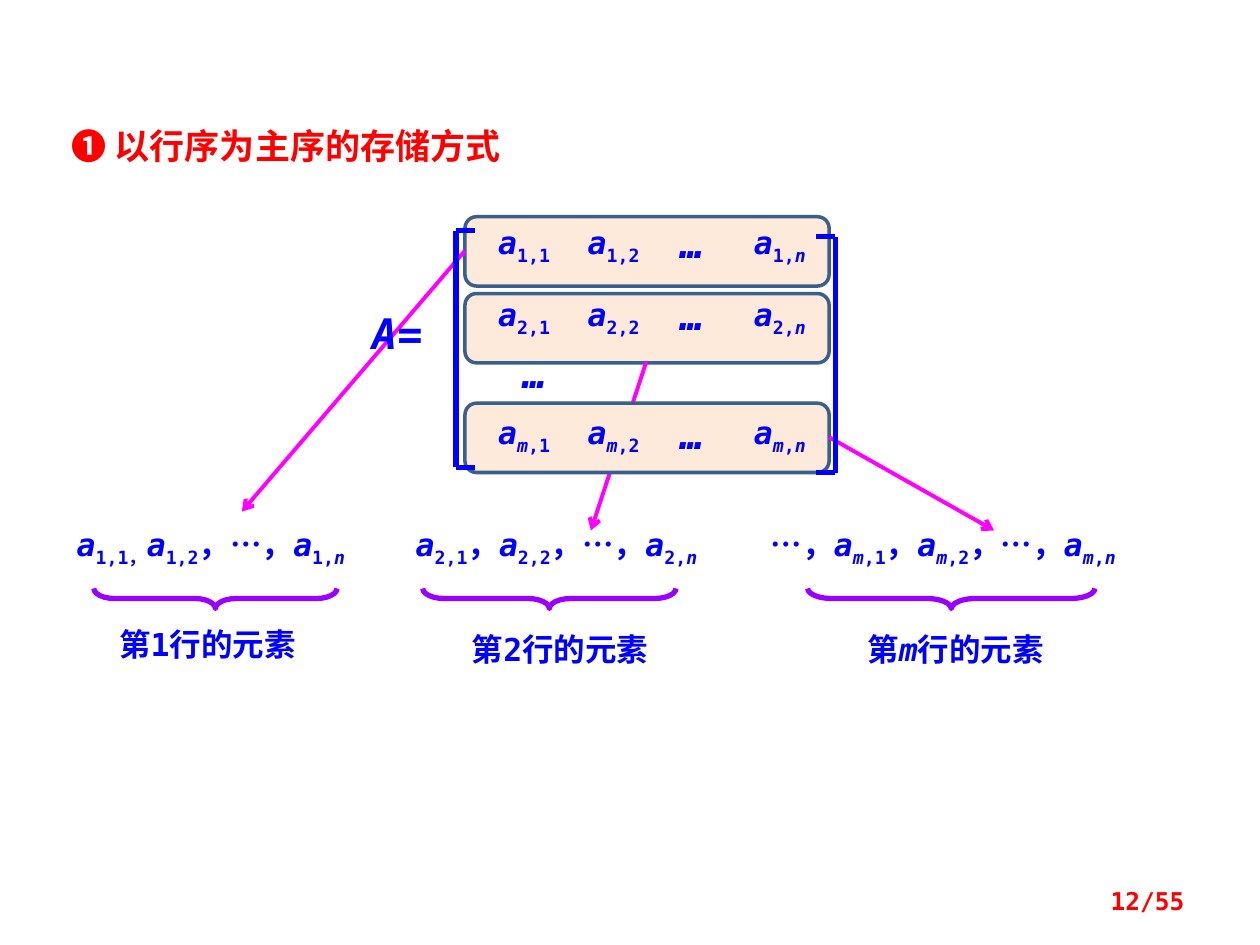
from itertools import groupby

from lxml import etree
from pptx import Presentation
from pptx.dml.color import RGBColor
from pptx.enum.shapes import MSO_CONNECTOR, MSO_SHAPE
from pptx.enum.text import MSO_ANCHOR, PP_ALIGN
from pptx.oxml.ns import qn
from pptx.util import Inches, Pt

LINE = MSO_CONNECTOR.STRAIGHT
ROUND, BRACE = MSO_SHAPE.ROUNDED_RECTANGLE, MSO_SHAPE.LEFT_BRACE
TOP, MIDDLE = MSO_ANCHOR.TOP, MSO_ANCHOR.MIDDLE
LEFT, CENTER, RIGHT = PP_ALIGN.LEFT, PP_ALIGN.CENTER, PP_ALIGN.RIGHT
JUSTIFY = PP_ALIGN.JUSTIFY

MONO, SANS = "DejaVu Sans Mono", "Arial"
COLORS = {"text": "0000FF", "head": "FF0000", "row": "FDEADA",
          "edge": "3A5F8C", "arrow": "FF00FF", "brace": "9900FF"}


def color(name):
    return RGBColor.from_string(COLORS[name])


def kind(char):
    """Sort a character into letter, dots or plain."""
    if char == "…":
        return "dots"
    return "letter" if char.isascii() and char.isalpha() else "plain"


class Board:
    def __init__(self, slide):
        self.slide = slide
        self.shapes = slide.shapes

    def style(self, run, size, hue="text", italic=False, font=MONO):
        run.font.name = font
        run.font.size = Pt(size)
        run.font.bold = True
        run.font.italic = italic
        run.font.color.rgb = color(hue)

    def frame(self, shape, align, anchor=TOP, inset=True):
        frame = shape.text_frame
        frame.word_wrap = True
        frame.vertical_anchor = anchor
        if not inset:
            frame.margin_left = frame.margin_right = 0
            frame.margin_top = frame.margin_bottom = 0
        frame.paragraphs[0].alignment = align
        return frame

    def box(self, x, y, w, h):
        return self.shapes.add_textbox(Inches(x), Inches(y), Inches(w), Inches(h))

    def title(self, text, x, y, w, h):
        shape = self.shapes.title
        shape.left, shape.top = Inches(x), Inches(y)
        shape.width, shape.height = Inches(w), Inches(h)
        shape.text_frame.text = text
        frame = self.frame(shape, LEFT)
        self.style(frame.paragraphs[0].runs[0], 20, "head")

    def number(self, text, x, y, w, h):
        shape = self.box(x, y, w, h)
        shape.text_frame.text = text
        frame = self.frame(shape, RIGHT, MIDDLE)
        self.style(frame.paragraphs[0].runs[0], 14, "head")

    def math(self, text, x, y, w, h, size=18, align=CENTER, inset=True,
             dots=SANS, pitch=None):
        """Write text with italic letters; each second part between bars is a subscript."""
        frame = self.frame(self.box(x, y, w, h), align, inset=inset)
        para = frame.paragraphs[0]
        para.line_spacing = pitch
        for place, part in enumerate(text.split("|")):
            for sort, chars in groupby(part, kind):
                run = para.add_run()
                run.text = "".join(chars)
                slant = sort == "letter" or (sort == "dots" and dots == MONO)
                self.style(run, size, italic=slant,
                           font=dots if sort == "dots" else MONO)
                if place % 2:
                    run.font._element.set("baseline", "-25000")

    def panel(self, x, y, w, h):
        shape = self.shapes.add_shape(ROUND, Inches(x), Inches(y), Inches(w), Inches(h))
        shape.shadow.inherit = False
        shape.fill.solid()
        shape.fill.fore_color.rgb = color("row")
        shape.line.color.rgb = color("edge")
        shape.line.width = Pt(2)

    def brace(self, mid, y, span, bend):
        """Draw a brace that opens upward, centred at mid and y."""
        thick = 0.16
        shape = self.shapes.add_shape(
            BRACE, Inches(mid - thick / 2), Inches(y - span / 2),
            Inches(thick), Inches(span))
        shape.rotation = 270
        shape.adjustments[0] = bend
        shape.shadow.inherit = False
        shape.fill.background()
        shape.line.color.rgb = color("brace")
        shape.line.width = Pt(3)

    def line(self, start, end, hue="text", width=3, arrow=False):
        link = self.shapes.add_connector(LINE, *map(Inches, start + end))
        link.line.color.rgb = color(hue)
        link.line.width = Pt(width)
        if arrow:
            etree.SubElement(link.line._get_or_add_ln(), qn("a:tailEnd"), type="arrow")
        etree.SubElement(link._element.spPr, qn("a:effectLst"))


def main():
    deck = Presentation()
    deck.slide_width, deck.slide_height = Inches(10), Inches(7.5)
    board = Board(deck.slides.add_slide(deck.slide_layouts[5]))
    board.title("❶ 以行序为主序的存储方式", 0.47, 0.94, 4.69, 0.44)

    # Matrix rows, each with an arrow to its place in storage
    for top, start, end in [(2.33, (5.13, 2.87), (4.69, 4.21)),
                            (1.72, (3.69, 1.99), (1.92, 4.06)),
                            (3.2, (6.58, 3.47), (7.89, 4.21))]:
        board.panel(3.69, top, 2.89, 0.55)
        board.line(start, end, "arrow", 2.25, arrow=True)

    # Stored sequence: text, left, width, brace middle, span, bend, label left, top
    for row, text, x, w, mid, span, bend, left, top in [
            ("1", "a|1,1，|a|1,2|，…，a|1,n", 0.51, 2.69, 1.71, 1.93, 1.03, 0.62, 4.91),
            ("2", "a|2,1|，a|2,2|，…，a|2,n", 3.2, 2.81, 4.36, 2.01, 1.07, 3.42, 4.95),
            ("m", "…，a|m,1|，a|m,2|，…，a|m,n", 6.02, 3.59, 7.55, 2.28, 1.22, 6.56, 4.95)]:
        board.math(text, x, 4.05, w, 0.46, align=JUSTIFY, pitch=1.2)
        board.brace(mid, 4.75, span, bend)
        board.math(f"第{row}行的元素", left, top, 2.05, 0.4)

    # Matrix entries
    board.math("A=", 2.84, 2.39, 0.63, 0.5, size=24)
    for row, y in [("1", 1.77), ("2", 2.34), ("m", 3.28)]:
        for col, x in [("1", 3.77), ("2", 4.48), ("n", 5.8)]:
            board.math(f"a|{row},{col}", x, y, 0.78, 0.3, inset=False)
    for x, y in [(5.18, 1.75), (5.18, 2.32), (5.18, 3.26), (3.93, 2.78)]:
        board.math("…", x, y, 0.63, 0.37, size=22, inset=False, dots=MONO)

    # Brackets
    for side, inner, top, end in [(3.62, 3.77, 1.83, 3.71), (6.63, 6.48, 1.88, 3.75)]:
        board.line((side, top), (side, end))
        for y in (top, end):
            board.line((side, y), (inner, y))

    board.number("12/55", 7.17, 6.95, 2.33, 0.4)
    deck.save("out.pptx")


if __name__ == "__main__":
    main()
